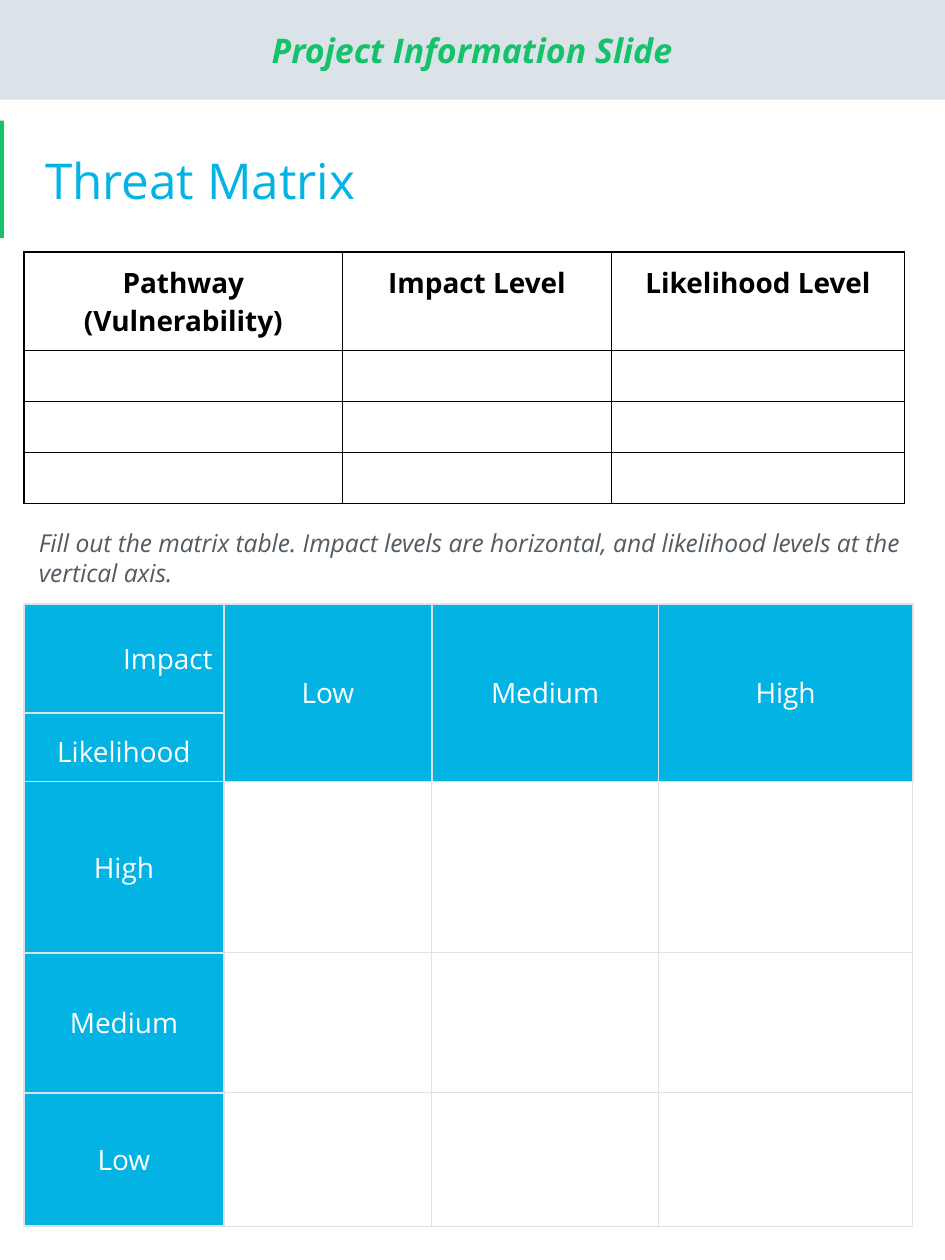
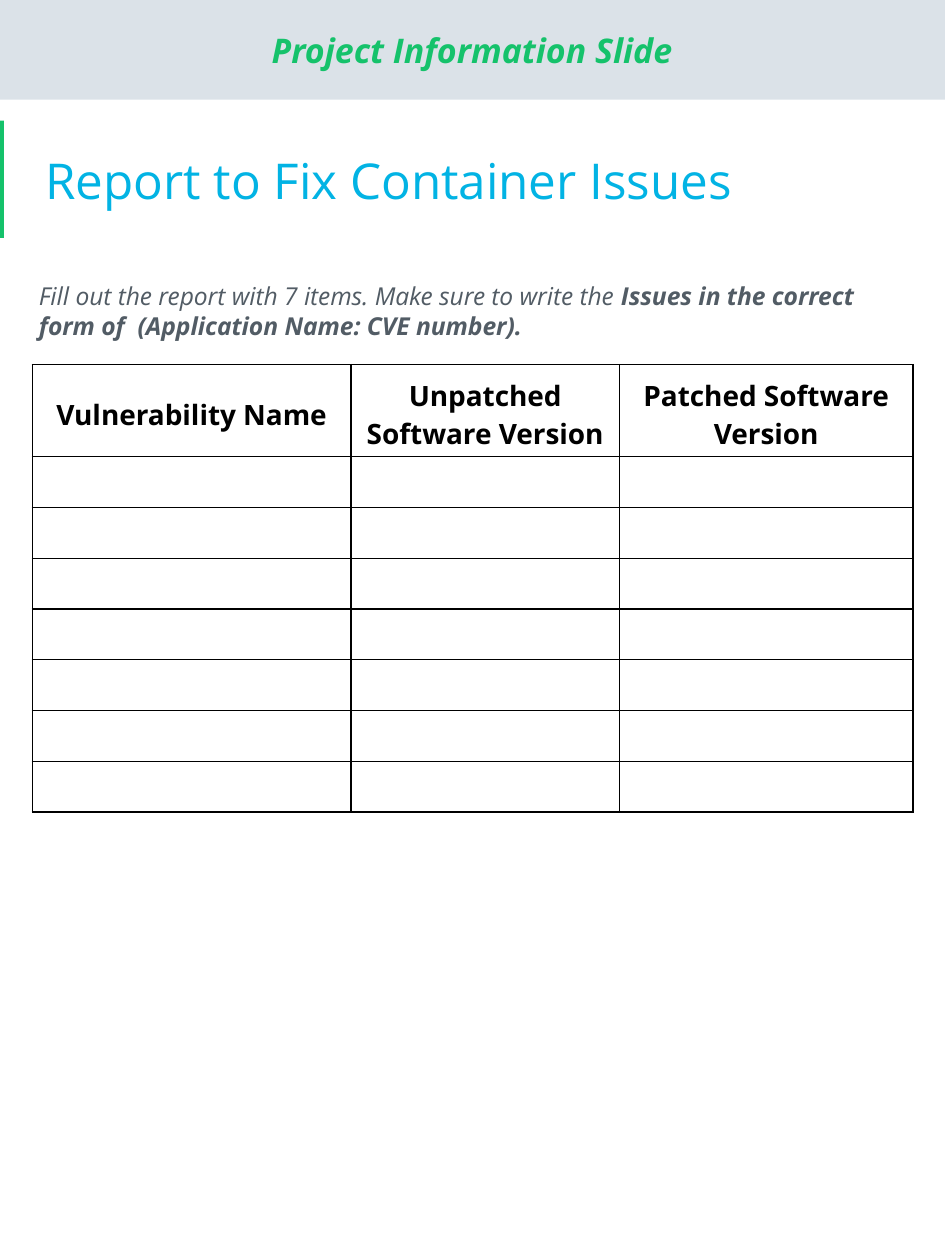
"""Builds the threat matrix slide and the container issue report slide."""
from lxml.etree import SubElement
from pptx import Presentation
from pptx.dml.color import RGBColor
from pptx.enum.shapes import MSO_SHAPE as Shape
from pptx.enum.text import MSO_ANCHOR as Anchor, PP_ALIGN as Align
from pptx.oxml.ns import qn
from pptx.util import Pt

color = RGBColor.from_string
GREEN, BLUE, PALE, GRAY = "15C26B", "02B3E4", "DBE2E8", "525C65"
BLACK, WHITE = "000000", "FFFFFF"
INSET = 6.5
ISSUE_COLUMNS = (182.2, 153.4, 167.8)
LEFT_EDGE = 13.7


def write(frame, runs, size, ink, align=Align.LEFT, bold=None, italic=None):
    """Fill the only paragraph of a frame with (text, bold) runs or one string."""
    paragraph = frame.paragraphs[0]
    paragraph.alignment = align
    font = paragraph.font
    font.name, font.size, font.color.rgb = "Open Sans", Pt(size), color(ink)
    font.bold, font.italic = bold, italic
    for text, strong in [(runs, None)] if isinstance(runs, str) else runs:
        run = paragraph.add_run()
        run.text = text
        if strong:
            run.font.bold = True


def add_grid(slide, left, top, widths, heights, line, blue_cells=()):
    """Add a plain ruled table whose listed cells are blue."""
    table = slide.shapes.add_table(len(heights), len(widths), Pt(left), Pt(top),
                                   Pt(sum(widths)), Pt(sum(heights))).table
    table.first_row = table.horz_banding = False
    for column, width in zip(table.columns, widths):
        column.width = Pt(width)
    for r, height in enumerate(heights):
        table.rows[r].height = Pt(height)
        for c in range(len(widths)):
            cell = table.cell(r, c)
            blue = (r, c) in blue_cells
            properties = cell._tc.get_or_add_tcPr()
            for side in ("a:lnL", "a:lnR", "a:lnT", "a:lnB"):
                border = SubElement(properties, qn(side), w=str(Pt(1 if blue else 0.75)))
                SubElement(SubElement(border, qn("a:solidFill")), qn("a:srgbClr"), val=line)
            if blue:
                cell.fill.solid()
                cell.fill.fore_color.rgb = color(BLUE)
            else:
                cell.fill.background()
            cell.margin_left = cell.margin_right = Pt(INSET)
            cell.margin_top = cell.margin_bottom = 0
            cell.text_frame.paragraphs[0].font.size = Pt(10)
    return table


prs = Presentation()
prs.slide_width, prs.slide_height = Pt(540), Pt(720)

pages = [
    ("Threat Matrix", 295.2,
     [("Fill out the matrix table. Impact levels are horizontal, and "
       "likelihood levels at the vertical axis.", False)],
     LEFT_EDGE, 144, 56.5, 3, Anchor.TOP, INSET,
     ("Pathway (Vulnerability)", "Impact Level", "Likelihood Level")),
    ("Report to Fix Container Issues", 154.1,
     [("Fill out the report with 7 items. Make sure to write the ", False),
      ("Issues in the correct form of  (Application Name: CVE number).", True)],
     18.4, 208.2, 52.8, 7, Anchor.MIDDLE, 2,
     ("Vulnerability Name", "Unpatched Software Version", "Patched Software Version")),
]

for (title, hint_top, hint, left, top, heading_height, blank_rows,
     heading_anchor, heading_bottom, headings) in pages:
    slide = prs.slides.add_slide(prs.slide_layouts[6])

    accent = slide.shapes.add_shape(Shape.RECTANGLE, 0, Pt(69), Pt(2.2), Pt(67))
    banner = slide.shapes.add_shape(Shape.RECTANGLE, 0, 0, Pt(540), Pt(57))
    for band, fill in ((accent, GREEN), (banner, PALE)):
        band.shadow.inherit = False
        band.fill.solid()
        band.fill.fore_color.rgb = color(fill)
        band.line.fill.background()
    banner.text_frame.vertical_anchor = Anchor.MIDDLE
    write(banner.text_frame, "Project Information Slide", 19.4, GREEN,
          Align.CENTER, bold=True, italic=True)

    heading = slide.shapes.add_textbox(Pt(18.7), Pt(62.6), Pt(503.3), Pt(80)).text_frame
    instruction = slide.shapes.add_textbox(Pt(15.8), Pt(hint_top), Pt(508.3), Pt(52)).text_frame
    for frame, inset in ((heading, 7.2), (instruction, INSET)):
        frame.word_wrap = True
        frame.margin_left = frame.margin_right = Pt(inset)
        frame.margin_top = frame.margin_bottom = Pt(inset)
    heading.vertical_anchor = Anchor.MIDDLE
    write(heading, title, 28.2, BLUE)
    write(instruction, hint, 14.1, GRAY, italic=True)

    issues = add_grid(slide, left, top, ISSUE_COLUMNS,
                      [heading_height] + [29] * blank_rows, BLACK)
    for c, text in enumerate(headings):
        cell = issues.cell(0, c)
        cell.margin_top, cell.margin_bottom = Pt(INSET), Pt(heading_bottom)
        cell.vertical_anchor = heading_anchor
        write(cell.text_frame, text, 16, BLACK, Align.CENTER, bold=True)

levels = ("Low", "Medium", "High")
blue_cells = [(r, c) for r in range(5) for c in range(4) if r < 2 or c == 0]
matrix = add_grid(prs.slides[0], LEFT_EDGE, 345, (114.3, 118.8, 129.4, 145.5),
                  (62.5, 39.2, 97.8, 80, 76.2), PALE, blue_cells)
labels = [(0, 0, "Impact", Align.RIGHT, Anchor.MIDDLE),
          (1, 0, "Likelihood", Align.CENTER, Anchor.BOTTOM)]
for i, level in enumerate(levels):
    matrix.cell(0, i + 1).merge(matrix.cell(1, i + 1))
    labels += [(0, i + 1, level, Align.CENTER, Anchor.MIDDLE),
               (4 - i, 0, level, Align.CENTER, Anchor.MIDDLE)]
for r, c, text, align, anchor in labels:
    cell = matrix.cell(r, c)
    cell.margin_top = cell.margin_bottom = Pt(INSET)
    cell.vertical_anchor = anchor
    write(cell.text_frame, text, 16, WHITE, align)

prs.save("out.pptx")
